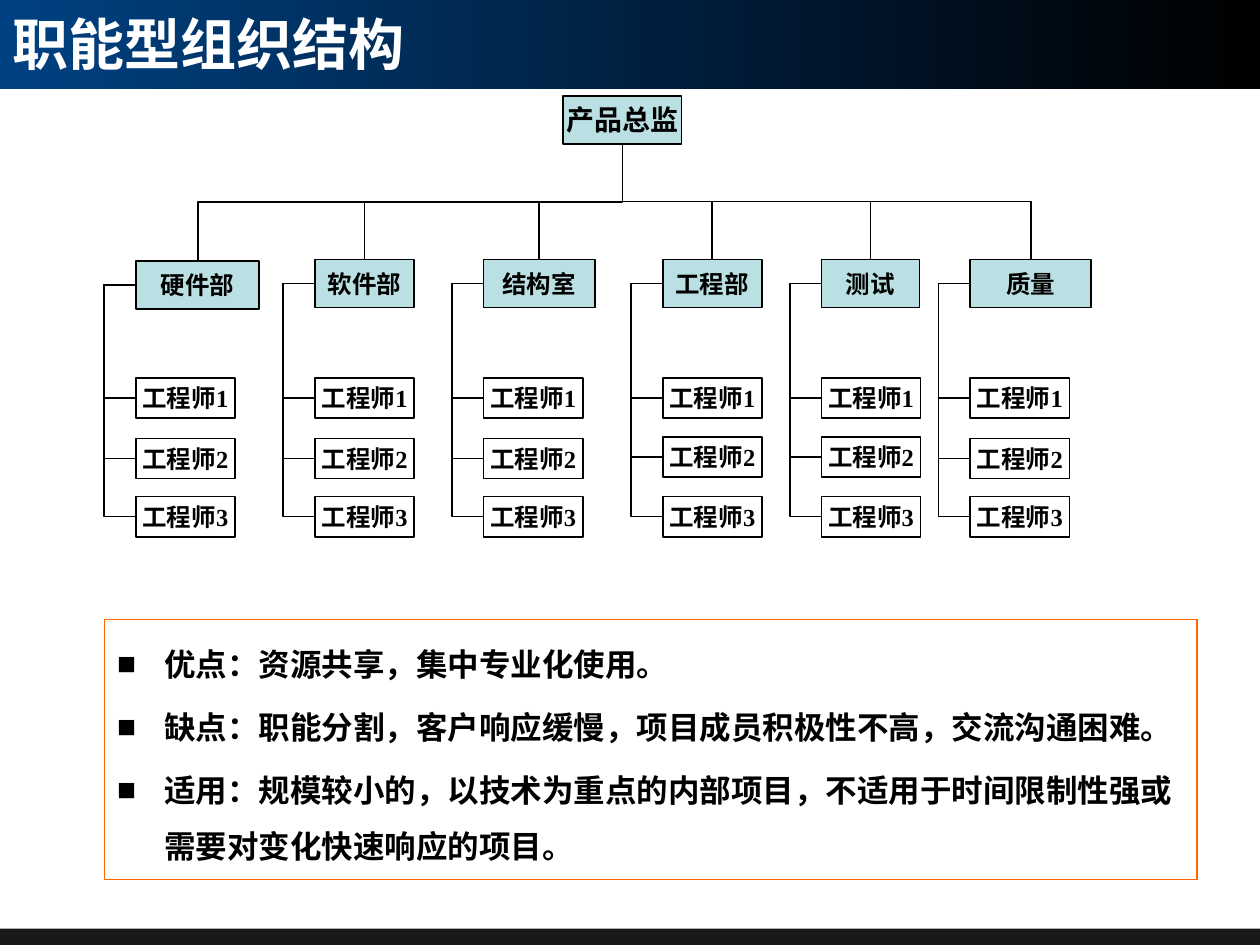
import dataclasses

import lxml.etree
import pptx
import pptx.dml.color
import pptx.enum.shapes
import pptx.enum.text
import pptx.oxml.ns
import pptx.util

Cm = pptx.util.Cm
Pt = pptx.util.Pt
qn = pptx.oxml.ns.qn


@dataclasses.dataclass(frozen=True)
class Theme:
    black: str = "000000"
    white: str = "FFFFFF"
    navy: str = "004182"
    teal: str = "BBE0E3"
    orange: str = "FF6600"
    serif: str = "Times New Roman"
    sans: str = "Arial"
    cjk: str = "Noto Sans CJK SC"
    head: int = 32
    body: int = 18
    lead: int = 16
    label: int = 14
    rule: float = 1
    frame: float = 0.75


def rgb(code):
    return pptx.dml.color.RGBColor.from_string(code)


class Chart:
    def __init__(self, slide, theme):
        self.slide = slide
        self.theme = theme

    def rect(self, x, y, w, h, fill=None, line=None, width=1):
        kind = pptx.enum.shapes.MSO_SHAPE.RECTANGLE
        shape = self.slide.shapes.add_shape(kind, Cm(x), Cm(y), Cm(w), Cm(h))
        shape.shadow.inherit = False
        if fill:
            shape.fill.solid()
            shape.fill.fore_color.rgb = rgb(fill)
        else:
            shape.fill.background()
        if line:
            shape.line.color.rgb = rgb(line)
            shape.line.width = Pt(width)
        else:
            shape.line.fill.background()
        return shape

    def style(self, para, face, size, color):
        font = para.font
        font.name, font.size, font.bold = face, Pt(size), True
        font.color.rgb = rgb(color)

    def band(self, h):
        shape = self.rect(0, 0, 25.4, h, self.theme.navy)
        shape.fill.gradient()
        shape.fill.gradient_angle = 0
        for stop, color in zip(shape.fill.gradient_stops, (self.theme.navy, self.theme.black)):
            stop.color.rgb = rgb(color)

    def foot(self, y, h):
        shape = self.rect(0, y, 25.4, h, self.theme.black)
        color = shape.fill._xPr.find(".//" + qn("a:srgbClr"))
        lxml.etree.SubElement(color, qn("a:alpha"), val="90000")

    def title(self, text, w, h):
        frame = self.slide.shapes.add_textbox(0, 0, Cm(w), Cm(h)).text_frame
        frame.word_wrap = True
        frame.vertical_anchor = pptx.enum.text.MSO_ANCHOR.MIDDLE
        para = frame.paragraphs[0]
        para.text = text
        self.style(para, self.theme.cjk, self.theme.head, self.theme.white)

    def box(self, text, x, y, w, h, fill, size):
        frame = self.rect(x, y, w, h, fill, self.theme.black, self.theme.rule).text_frame
        frame.word_wrap = False
        frame.vertical_anchor = pptx.enum.text.MSO_ANCHOR.MIDDLE
        para = frame.paragraphs[0]
        para.text = text
        para.alignment = pptx.enum.text.PP_ALIGN.CENTER
        self.style(para, self.theme.serif, size, self.theme.black)

    def elbow(self, x1, y1, x2, y2, bend):
        kind = pptx.enum.shapes.MSO_CONNECTOR.ELBOW
        line = self.slide.shapes.add_connector(kind, Cm(x1), Cm(y1), Cm(x2), Cm(y2))
        line.line.color.rgb = rgb(self.theme.black)
        line.line.width = Pt(self.theme.rule)
        props = line._element.spPr
        lxml.etree.SubElement(props, qn("a:effectLst"))
        guides = props.find(".//" + qn("a:avLst"))
        lxml.etree.SubElement(guides, qn("a:gd"), name="adj1", fmla=f"val {round(bend * 100000)}")
        return line

    def drop(self, x1, y1, x2, y2):
        """Down, across, down: a sideways elbow turned by a quarter."""
        side = 1 if x2 < x1 else -1
        mx, my = (x1 + x2) / 2, (y1 + y2) / 2
        dx, dy = abs(x2 - x1) / 2, (y2 - y1) / 2
        line = self.elbow(mx - side * dy, my - dx, mx + side * dy, my + dx, 0.5)
        turn = 90 if side == 1 else 270
        line._element.spPr.find(qn("a:xfrm")).set("rot", str(turn * 60000))

    def hook(self, x, y1, y2, reach):
        """Out to the left, down, and back in."""
        step = 0.01
        self.elbow(x, y1, x + step, y2, -reach / step)

    def notes(self, items, x, y, w, h):
        shape = self.rect(x, y, w, h, None, self.theme.orange, self.theme.frame)
        frame = shape.text_frame
        frame.word_wrap = True
        frame.vertical_anchor = pptx.enum.text.MSO_ANCHOR.TOP
        for i, text in enumerate(items):
            para = frame.add_paragraph() if i else frame.paragraphs[0]
            para.text = text
            para.alignment = pptx.enum.text.PP_ALIGN.LEFT
            para.line_spacing = 1.5
            if i:
                para.space_before = Pt(3.6)
            props = para._p.get_or_add_pPr()
            props.set("marL", str(Cm(0.95)))
            props.set("indent", str(Cm(-0.95)))
            tint = lxml.etree.SubElement(props, qn("a:buClr"))
            lxml.etree.SubElement(tint, qn("a:srgbClr"), val=self.theme.black)
            lxml.etree.SubElement(props, qn("a:buFont"), typeface=self.theme.sans)
            lxml.etree.SubElement(props, qn("a:buChar"), char="■")
            self.style(para, self.theme.sans, self.theme.body, self.theme.black)


def main():
    deck = pptx.Presentation()
    deck.slide_width, deck.slide_height = Cm(25.4), Cm(19.05)
    theme = Theme()
    chart = Chart(deck.slides.add_slide(deck.slide_layouts[6]), theme)

    # Header and footer
    chart.band(1.8)
    chart.foot(18.72, 0.33)
    chart.title("职能型组织结构", 14.58, 1.73)

    # Advantages, drawbacks and use
    chart.notes([
        "优点：资源共享，集中专业化使用。",
        "缺点：职能分割，客户响应缓慢，项目成员积极性不高，交流沟通困难。",
        "适用：规模较小的，以技术为重点的内部项目，不适用于时间限制性强或需要对变化快速响应的项目。",
    ], 2.11, 12.49, 22.02, 5.24)

    # Director
    tall, low = 0.97, 0.81
    top = 1.93
    chart.box("产品总监", 11.35, top, 2.39, tall, theme.teal, theme.lead)

    # Departments: name, left, top, width, top of the second engineer
    units = [
        ("硬件部", 2.74, 5.26, 2.49, 8.84),
        ("软件部", 6.35, 5.23, 2, 8.84),
        ("结构室", 9.75, 5.23, 2.24, 8.84),
        ("工程部", 13.36, 5.23, 2, 8.81),
        ("测试", 16.56, 5.23, 1.98, 8.81),
        ("质量", 19.56, 5.23, 2.44, 8.84),
    ]
    for name, x, y, w, mid in units:
        chart.box(name, x, y, w, tall, theme.teal, theme.label)
        chart.drop(12.55, top + tall, x + w / 2, y)
        for n, row in enumerate((7.62, mid, 10.01), 1):
            chart.box(f"工程师{n}", x, row, 2, low, theme.white, theme.label)
            chart.hook(x, y + tall / 2, row + low / 2, 0.64)

    deck.save("out.pptx")


if __name__ == "__main__":
    main()
